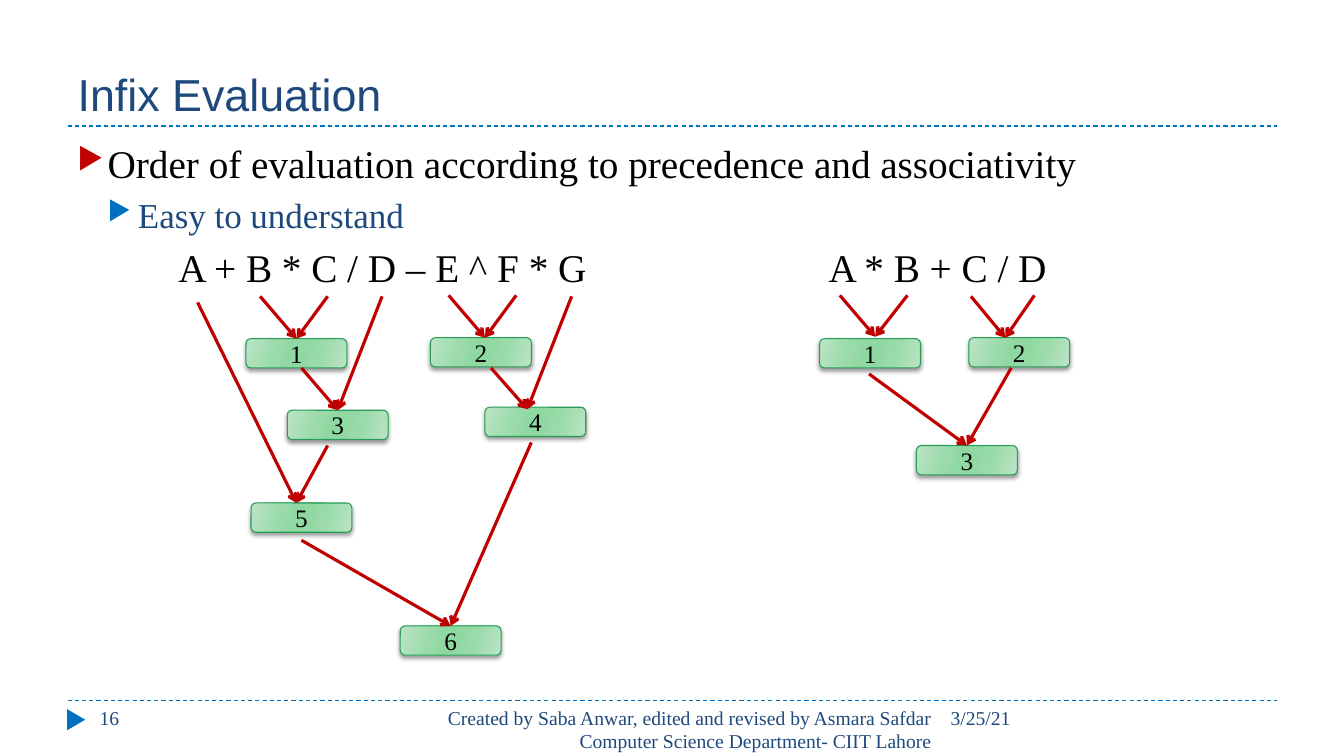
import pptx
import pptx.util
import pptx.dml.color
import pptx.enum.dml
import pptx.enum.shapes
import pptx.enum.text
import pptx.oxml.ns
import lxml.etree

RGB = pptx.dml.color.RGBColor
NAVY = RGB(0x1F, 0x49, 0x7D)
BLUE = RGB(0x00, 0x70, 0xC0)
RED = RGB(0xC0, 0x00, 0x00)
BLACK = RGB(0x00, 0x00, 0x00)
EDGE = RGB(0x27, 0x9D, 0x57)
PALE = RGB(0xBB, 0xE4, 0xC5)
SOFT = RGB(0x9B, 0xDB, 0xAB)
MINT = RGB(0x8F, 0xD8, 0xA1)
STOPS = [(0, PALE), (30, SOFT), (45, MINT), (55, MINT), (73, SOFT), (100, PALE)]

SERIF = "Times New Roman"
SANS = "Arial"
SHAPE = pptx.enum.shapes.MSO_SHAPE
ALIGN = pptx.enum.text.PP_ALIGN
ANCHOR = pptx.enum.text.MSO_ANCHOR

COLS, ROWS = 133.3, 75
BOX_W, BOX_H = 10, 2.9

STEPS = [
    ("1", 24.4, 33.6, None, [(25.8, 29.4), (32.5, 29.4)]),
    ("2", 42.7, 33.5, (48.1, 33.5), [(44.5, 29.3), (51.2, 29.3)]),
    ("3", 28.5, 40.7, None, [(29.9, 36.5), (37.9, 29.4)]),
    ("4", 48.1, 40.4, (52.3, 40.6), [(48.7, 36.5), (56.7, 29.4)]),
    ("5", 24.9, 49.9, (29.4, 49.9), [(19.6, 30), (32.5, 44.2)]),
    ("6", 39.7, 62.1, None, [(52.7, 43.9), (29.9, 53.6)]),
    ("1", 81.3, 33.6, (86.8, 33.4), [(83.3, 29.3), (90, 29.3)]),
    ("2", 96.1, 33.5, (99.7, 33.5), [(96.3, 29.4), (102.6, 29.3)]),
    ("3", 90.9, 44.2, None, [(86.2, 37.1), (100.3, 36.5)]),
]


def node(parent, tag, **attrs):
    item = lxml.etree.SubElement(parent, pptx.oxml.ns.qn("a:" + tag))
    for key, value in attrs.items():
        item.set(key, str(value))
    return item


class Board:
    def __init__(self, deck):
        self.cell = pptx.util.Inches(0.1)
        deck.slide_width, deck.slide_height = self.grid(COLS, ROWS)
        self.slide = deck.slides.add_slide(deck.slide_layouts[5])
        self.shapes = self.slide.shapes

    def grid(self, *units):
        return [round(unit * self.cell) for unit in units]

    def style(self, para, size, color, font=SERIF):
        for run in para.runs:
            run.font.size = pptx.util.Pt(size)
            run.font.name = font
            run.font.color.rgb = color

    def title(self, text, *place):
        head = self.shapes.title
        head.left, head.top, head.width, head.height = self.grid(*place)
        frame = head.text_frame
        frame.text = text
        frame.auto_size = pptx.enum.text.MSO_AUTO_SIZE.NONE
        frame.vertical_anchor = ANCHOR.BOTTOM
        frame.paragraphs[0].alignment = ALIGN.LEFT
        self.style(frame.paragraphs[0], 32, NAVY, SANS)

    def text(self, text, *place, size=14, color=NAVY, align=ALIGN.LEFT):
        frame = self.shapes.add_textbox(*self.grid(*place)).text_frame
        frame.word_wrap = True
        frame.text = text
        for para in frame.paragraphs:
            para.alignment = align
            self.style(para, size, color)
        return frame

    def bullet(self, para, level, color):
        para.level = level
        props = para._p.get_or_add_pPr()
        step = pptx.util.Inches(0.3)
        props.set("marL", str(step * (level + 1)))
        props.set("indent", str(-step))
        node(node(props, "buClr"), "srgbClr", val=color)
        node(props, "buSzPct", val=76000)
        node(props, "buChar", char="▶")

    def tabs(self, para, *stops):
        row = node(para._p.get_or_add_pPr(), "tabLst")
        for stop in self.grid(*stops):
            node(row, "tab", pos=stop, algn="l")

    def line(self, start, end, color, width):
        kind = pptx.enum.shapes.MSO_CONNECTOR.STRAIGHT
        link = self.shapes.add_connector(kind, *self.grid(*start, *end))
        link.line.color.rgb = color
        link.line.width = pptx.util.Pt(width)
        node(link._element.spPr, "effectLst")
        return link

    def rule(self, row):
        link = self.line((6.7, row), (126.7, row), BLUE, 0.75)
        link.line.dash_style = pptx.enum.dml.MSO_LINE.DASH

    def arrow(self, start, end):
        link = self.line(start, end, RED, 2.25)
        node(link.line._get_or_add_ln(), "tailEnd", type="arrow")
        return link

    def marker(self, *place):
        mark = self.shapes.add_shape(SHAPE.ISOSCELES_TRIANGLE, *self.grid(*place))
        mark.rotation = 90
        mark.shadow.inherit = False
        mark.fill.solid()
        mark.fill.fore_color.rgb = BLUE
        mark.line.fill.background()

    def box(self, label, left, top):
        place = self.grid(left, top, BOX_W, BOX_H)
        box = self.shapes.add_shape(SHAPE.ROUNDED_RECTANGLE, *place)
        box.line.color.rgb = EDGE
        box.line.width = pptx.util.Pt(0.75)
        box.fill.gradient()
        box.fill.gradient_angle = 344
        props = box._element.spPr
        stops = props.find(".//" + pptx.oxml.ns.qn("a:gsLst"))
        for stop in list(stops):
            stops.remove(stop)
        for share, color in STOPS:
            node(node(stops, "gs", pos=share * 1000), "srgbClr", val=color)
        box.shadow.inherit = False
        glow = node(props.find(pptx.oxml.ns.qn("a:effectLst")), "outerShdw",
                    blurRad=pptx.util.Pt(3), dist=pptx.util.Pt(2),
                    dir=5400000, rotWithShape=0)
        node(node(glow, "srgbClr", val=BLACK), "alpha", val=40000)
        frame = box.text_frame
        frame.margin_top = frame.margin_bottom = 0
        frame.vertical_anchor = ANCHOR.MIDDLE
        frame.text = label
        frame.paragraphs[0].alignment = ALIGN.CENTER
        self.style(frame.paragraphs[0], 18, BLACK)
        return box

    def step(self, label, left, top, tip, starts):
        box = self.box(label, left, top)
        for start in starts:
            link = self.arrow(start, tip or (left + BOX_W / 2, top))
            if tip is None:
                link.end_connect(box, 0)


def main():
    deck = pptx.Presentation()
    board = Board(deck)
    board.rule(69.5)
    board.rule(12.5)
    board.marker(6.5, 70.5, 2.1, 1.8)
    board.title("Infix Evaluation", 6.7, 1.7, 120, 10.8)
    board.text("3/25/21", 93.3, 69.5, 33.4, 4)
    board.text("Created by Saba Anwar, edited and revised by Asmara Safdar "
               "Computer Science Department- CIIT Lahore",
               42.3, 69.5, 51.1, 4, align=ALIGN.RIGHT)
    board.text("16", 8.9, 69.5, 28.9, 4)
    body = board.text("Order of evaluation according to precedence and associativity\n"
                      "Easy to understand\n"
                      "\tA + B * C / D – E ^ F * G\tA * B + C / D",
                      6.7, 13.3, 120, 54, size=28, color=BLACK)
    lead, note, sums = body.paragraphs
    board.bullet(lead, 0, RED)
    board.bullet(note, 1, BLUE)
    board.style(note, 25, NAVY)
    note.space_before = pptx.util.Pt(5)
    board.tabs(sums, 10, 74.5)
    sums.space_before = pptx.util.Pt(6)
    for step in STEPS:
        board.step(*step)
    deck.save("out.pptx")


if __name__ == "__main__":
    main()
